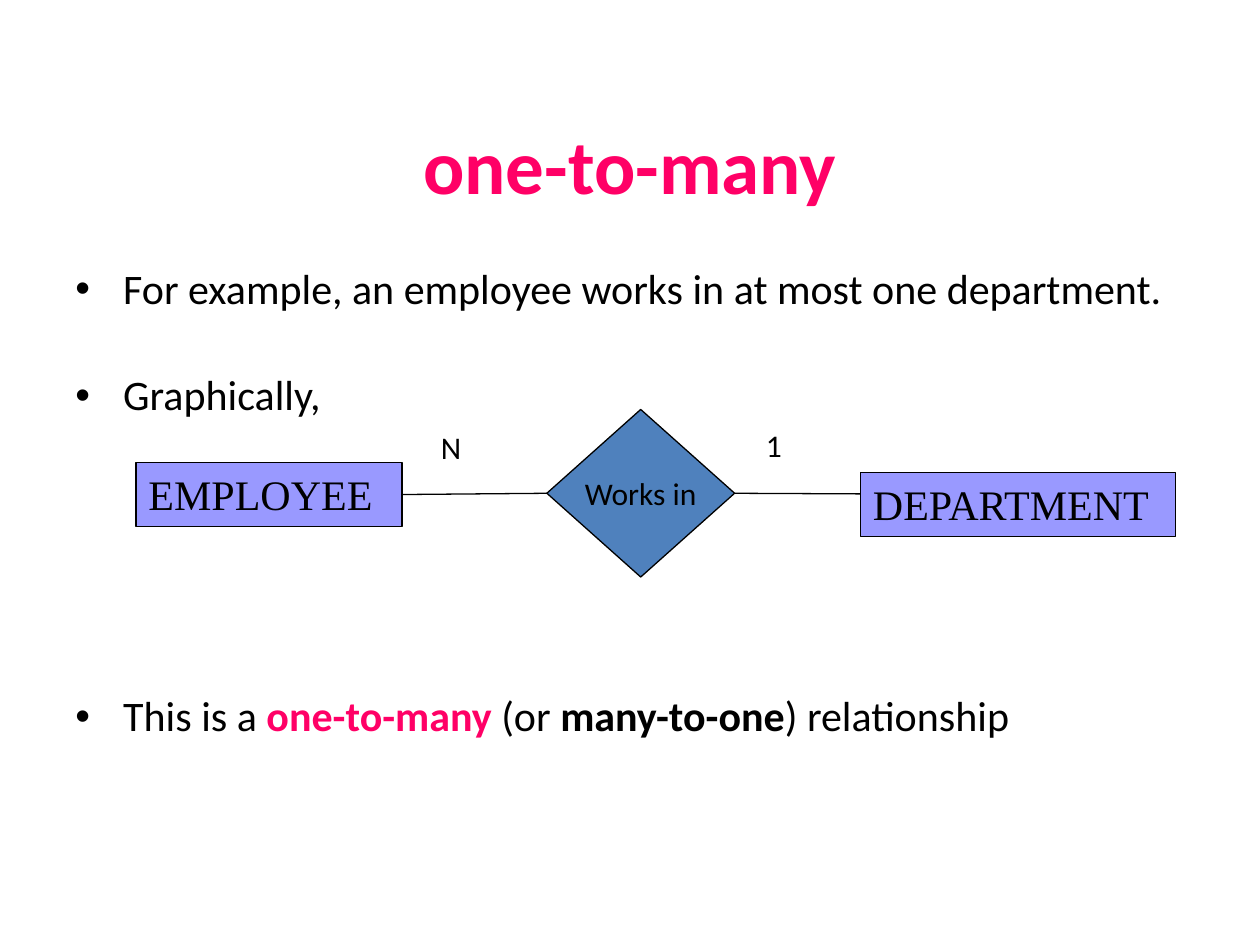
from dataclasses import dataclass

from lxml import etree
from pptx import Presentation
from pptx.dml.color import RGBColor
from pptx.enum.shapes import MSO_CONNECTOR, MSO_SHAPE
from pptx.enum.text import MSO_ANCHOR, MSO_AUTO_SIZE, PP_ALIGN
from pptx.oxml.ns import qn
from pptx.shapes.autoshape import Shape
from pptx.shapes.connector import Connector
from pptx.slide import Slide
from pptx.text.text import TextFrame
from pptx.util import Inches, Pt

RECTANGLE, DIAMOND = MSO_SHAPE.RECTANGLE, MSO_SHAPE.DIAMOND
STRAIGHT = MSO_CONNECTOR.STRAIGHT
TOP, MIDDLE = MSO_ANCHOR.TOP, MSO_ANCHOR.MIDDLE
LEFT, CENTER = PP_ALIGN.LEFT, PP_ALIGN.CENTER
NO_FIT, GROW = MSO_AUTO_SIZE.NONE, MSO_AUTO_SIZE.SHAPE_TO_FIT_TEXT
LEFT_SIDE, RIGHT_SIDE = 1, 3

COLORS = {
    "black": "000000",
    "pink": "FF0066",
    "lavender": "9999FF",
    "blue": "4F81BD",
}


@dataclass(frozen=True)
class Span:
    text: str
    color: str = "black"
    bold: bool = False


@dataclass(frozen=True)
class Bullet:
    spans: tuple[Span, ...]
    space_before: float = 0


@dataclass(frozen=True)
class Node:
    text: str
    kind: MSO_SHAPE
    area: tuple[float, float, float, float]
    fill: str
    size: int = 24
    font: str = "Times New Roman"
    anchor: MSO_ANCHOR = TOP
    align: PP_ALIGN = LEFT
    wrap: bool = True
    fit: MSO_AUTO_SIZE = GROW


@dataclass(frozen=True)
class Label:
    text: str
    area: tuple[float, float, float, float]


BULLETS = (
    Bullet((Span("For example, an employee works in at most one department."),)),
    Bullet((Span("Graphically,"),), 34.8),
    Bullet(
        (
            Span("This is a "),
            Span("one-to-many ", "pink", True),
            Span("(or"),
            Span(" many-to-one", bold=True),
            Span(") relationship"),
        ),
        157.6,
    ),
)
EMPLOYEE = Node("EMPLOYEE", RECTANGLE, (1.08, 3.67, 2.11, 0.51), "lavender")
DEPARTMENT = Node("DEPARTMENT", RECTANGLE, (6.83, 3.75, 2.5, 0.51), "lavender")
WORKS_IN = Node("Works in", DIAMOND, (4.34, 3.25, 1.49, 1.33), "blue",
                18, "Calibri", MIDDLE, CENTER, False, NO_FIT)
LABELS = (
    Label("N", (3.4, 3.35, 0.4, 0.43)),
    Label("1", (5.98, 3.33, 0.36, 0.43)),
)


def color_of(name: str) -> RGBColor:
    return RGBColor.from_string(COLORS[name])


def add_span(para, text: str, *, size: int, font: str = "Calibri",
             color: str = "black", bold: bool = False) -> None:
    span = para.add_run()
    span.text = text
    span.font.size = Pt(size)
    span.font.name = font
    span.font.bold = bold
    span.font.color.rgb = color_of(color)


def write_text(frame: TextFrame, text: str, *, size: int, font: str = "Calibri",
               color: str = "black", bold: bool = False, align: PP_ALIGN = LEFT,
               anchor: MSO_ANCHOR = TOP, wrap: bool = True,
               fit: MSO_AUTO_SIZE = NO_FIT) -> None:
    frame.word_wrap = wrap
    frame.auto_size = fit
    frame.vertical_anchor = anchor
    para = frame.paragraphs[0]
    para.alignment = align
    add_span(para, text, size=size, font=font, color=color, bold=bold)


def add_box(page: Slide, area: tuple[float, float, float, float]) -> Shape:
    return page.shapes.add_textbox(*map(Inches, area))


def add_bullets(page: Slide, bullets: tuple[Bullet, ...]) -> None:
    frame = add_box(page, (0.5, 2.08, 9, 4.62)).text_frame
    frame.word_wrap = True
    for index, bullet in enumerate(bullets):
        para = frame.add_paragraph() if index else frame.paragraphs[0]
        para.line_spacing = 0.9
        para.space_before = Pt(bullet.space_before)
        properties = para._p.get_or_add_pPr()
        properties.set("marL", str(Inches(0.38)))
        properties.set("indent", str(Inches(-0.38)))
        etree.SubElement(properties, qn("a:buFont")).set("typeface", "Arial")
        etree.SubElement(properties, qn("a:buChar")).set("char", "•")
        for span in bullet.spans:
            add_span(para, span.text, size=24, color=span.color, bold=span.bold)


def add_node(page: Slide, node: Node) -> Shape:
    shape = page.shapes.add_shape(node.kind, *map(Inches, node.area))
    shape.shadow.inherit = False
    shape.fill.solid()
    shape.fill.fore_color.rgb = color_of(node.fill)
    shape.line.color.rgb = color_of("black")
    shape.line.width = Pt(0.75)
    write_text(shape.text_frame, node.text, size=node.size, font=node.font,
               align=node.align, anchor=node.anchor, wrap=node.wrap, fit=node.fit)
    return shape


def add_line(page: Slide, start: tuple[float, float],
             end: tuple[float, float]) -> Connector:
    line = page.shapes.add_connector(STRAIGHT, *map(Inches, start + end))
    line.line.color.rgb = color_of("black")
    line.line.width = Pt(0.75)
    etree.SubElement(line._element.spPr, qn("a:effectLst"))
    return line


def main() -> None:
    deck = Presentation()
    deck.slide_width, deck.slide_height = Inches(10), Inches(7.5)
    page = deck.slides.add_slide(deck.slide_layouts[6])

    add_bullets(page, BULLETS)
    title = add_box(page, (0.5, 0.67, 9, 1.25))
    write_text(title.text_frame, "one-to-many", size=44, color="pink", bold=True,
               align=CENTER, anchor=MIDDLE)

    employee = add_node(page, EMPLOYEE)
    add_node(page, DEPARTMENT)
    works_in = add_node(page, WORKS_IN)

    employee_line = add_line(page, (3.19, 3.92), (4.34, 3.92))
    employee_line.begin_connect(employee, RIGHT_SIDE)
    employee_line.end_connect(works_in, LEFT_SIDE)
    department_line = add_line(page, (5.83, 3.92), (6.83, 3.92))
    department_line.begin_connect(works_in, RIGHT_SIDE)

    for label in LABELS:
        box = add_box(page, label.area)
        write_text(box.text_frame, label.text, size=18, wrap=False, fit=GROW)

    deck.save("out.pptx")


if __name__ == "__main__":
    main()
